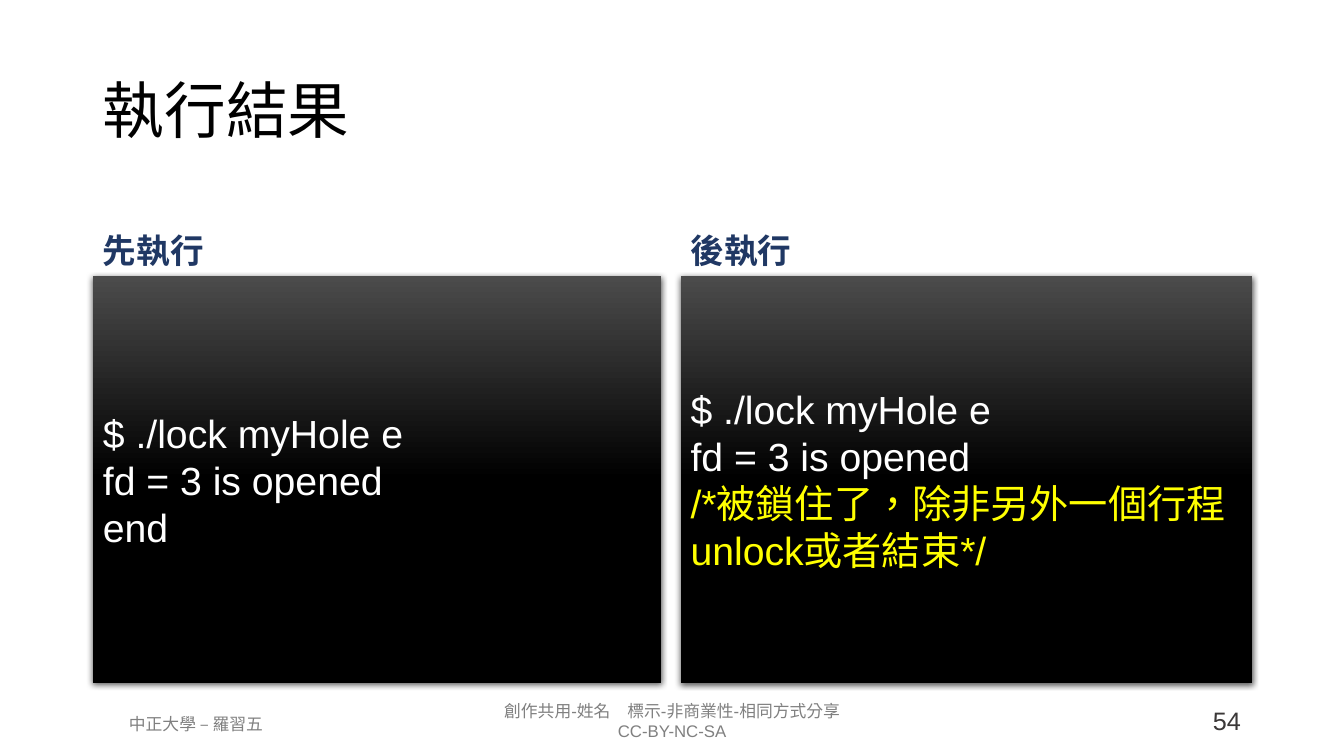
from dataclasses import dataclass

from lxml import etree
from pptx import Presentation
from pptx.dml.color import RGBColor
from pptx.enum.lang import MSO_LANGUAGE_ID
from pptx.enum.text import MSO_ANCHOR, MSO_AUTO_SIZE, PP_ALIGN
from pptx.oxml.ns import qn
from pptx.util import Cm, Pt

LEFT, CENTER, RIGHT = PP_ALIGN.LEFT, PP_ALIGN.CENTER, PP_ALIGN.RIGHT
TOP, MIDDLE, BOTTOM = MSO_ANCHOR.TOP, MSO_ANCHOR.MIDDLE, MSO_ANCHOR.BOTTOM
NO_AUTOFIT = MSO_AUTO_SIZE.NONE
TAIWAN = MSO_LANGUAGE_ID.TRADITIONAL_CHINESE
LATIN_FONT, CHINESE_FONT = "Arial", "Noto Sans CJK SC"
COMPARISON_LAYOUT = 4


@dataclass
class Style:
    size: int
    color: str
    font: str = LATIN_FONT
    bold: bool = False
    align: PP_ALIGN = LEFT
    anchor: MSO_ANCHOR = TOP
    spacing: float = 1.0


@dataclass
class Line:
    text: str
    color: str = ""


@dataclass
class Column:
    left: float
    width: float
    heading_id: int
    heading: str
    output: list[Line]


@dataclass
class Footer:
    left: float
    top: float
    width: float
    height: float
    lines: list[Line]
    style: Style


TITLE = Style(44, "000000", CHINESE_FONT, anchor=MIDDLE, spacing=0.9)
HEADING = Style(24, "203864", CHINESE_FONT, bold=True, anchor=BOTTOM, spacing=0.9)
TERMINAL = Style(28, "FFFFFF", anchor=MIDDLE)
CREDIT = Style(12, "808080", align=CENTER)
PAGE_NUMBER = Style(18, "3B3838", align=RIGHT)

COMMAND = [Line("$ ./lock myHole e"), Line("fd = 3 is opened")]
COLUMNS = [
    Column(2.34, 14.33, 1, "先執行", COMMAND + [Line("end")]),
    Column(17.15, 14.4, 3, "後執行",
           COMMAND + [Line("/*被鎖住了，除非另外一個行程unlock或者結束*/", "FFFF00")]),
]
FOOTERS = [
    Footer(10.69, 17.53, 12.5, 1.27,
           [Line("創作共用-姓名　標示-非商業性-相同方式分享"), Line("CC-BY-NC-SA")], CREDIT),
    Footer(1.75, 17.86, 6.38, 0.76, [Line("中正大學 – 羅習五")], CREDIT),
    Footer(25.3, 17.65, 6.22, 1.02, [Line("54")], PAGE_NUMBER),
]


def rgb(color: str) -> RGBColor:
    return RGBColor.from_string(color)


def place(box, left: float, top: float, width: float, height: float) -> None:
    box.left, box.top = Cm(left), Cm(top)
    box.width, box.height = Cm(width), Cm(height)


def write(box, lines: list[Line], style: Style) -> None:
    frame = box.text_frame
    frame.word_wrap = True
    frame.auto_size = NO_AUTOFIT
    frame.vertical_anchor = style.anchor
    for index, line in enumerate(lines):
        para = frame.add_paragraph() if index else frame.paragraphs[0]
        para.alignment = style.align
        para.line_spacing = style.spacing
        para.space_before = para.space_after = Pt(0)
        properties = para._p.get_or_add_pPr()
        properties.set("marL", "0")
        properties.set("indent", "0")
        etree.SubElement(properties, qn("a:buNone"))
        span = para.add_run()
        span.text = line.text
        font = span.font
        font.name, font.size, font.bold = style.font, Pt(style.size), style.bold
        font.color.rgb = rgb(line.color or style.color)
        font.language_id = TAIWAN
        latin = font._element.find(qn("a:latin"))
        east_asian = etree.Element(qn("a:ea"), typeface=CHINESE_FONT)
        latin.addnext(east_asian)


def paint_terminal(panel) -> None:
    panel.fill.gradient()
    panel.fill.gradient_angle = 270
    stops = panel.fill.gradient_stops
    for stop, position, color in zip(stops, (0, 0.5), ("4B4B4B", "000000")):
        stop.position = position
        stop.color.rgb = rgb(color)
    panel.shadow.inherit = False
    effects = panel._element.spPr.find(qn("a:effectLst"))
    shadow = etree.SubElement(effects, qn("a:outerShdw"), blurRad=str(Pt(4.5)),
                              dist=str(Pt(1.5)), dir="5400000", algn="ctr", rotWithShape="0")
    shade = etree.SubElement(shadow, qn("a:srgbClr"), val="000000")
    etree.SubElement(shade, qn("a:alpha"), val="63000")


def draw_column(page, column: Column) -> None:
    holders = {holder.placeholder_format.idx: holder for holder in page.placeholders}
    heading, panel = holders[column.heading_id], holders[column.heading_id + 1]
    place(heading, column.left, 4.67, column.width, 2.29)
    write(heading, [Line(column.heading)], HEADING)
    place(panel, column.left, 6.96, column.width, 10.24)
    paint_terminal(panel)
    write(panel, column.output, TERMINAL)


def draw_footer(page, footer: Footer) -> None:
    box = page.shapes.add_textbox(Cm(footer.left), Cm(footer.top),
                                  Cm(footer.width), Cm(footer.height))
    write(box, footer.lines, footer.style)


def main() -> None:
    deck = Presentation()
    deck.slide_width, deck.slide_height = Cm(33.87), Cm(19.05)
    page = deck.slides.add_slide(deck.slide_layouts[COMPARISON_LAYOUT])
    title = page.shapes.title
    place(title, 2.34, 1.02, 29.21, 3.68)
    write(title, [Line("執行結果")], TITLE)
    for column in COLUMNS:
        draw_column(page, column)
    for footer in FOOTERS:
        draw_footer(page, footer)
    deck.save("out.pptx")


if __name__ == "__main__":
    main()
